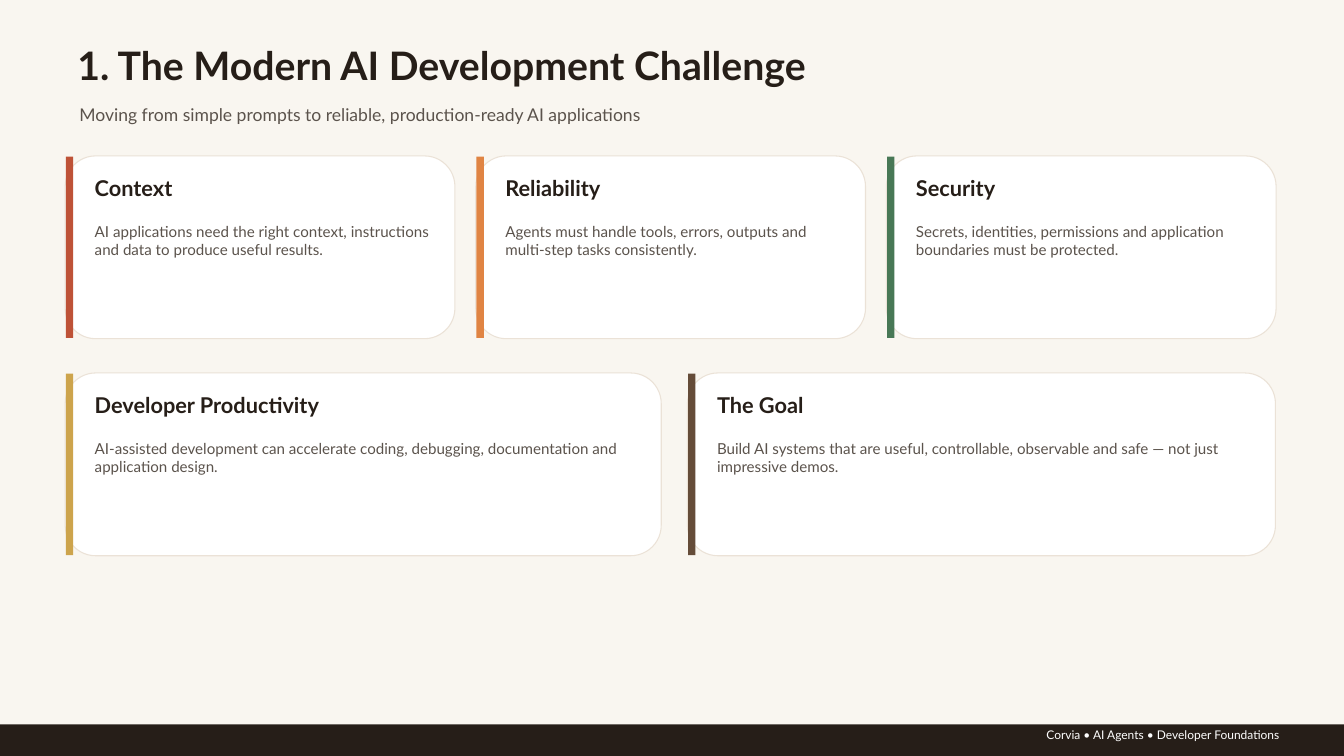
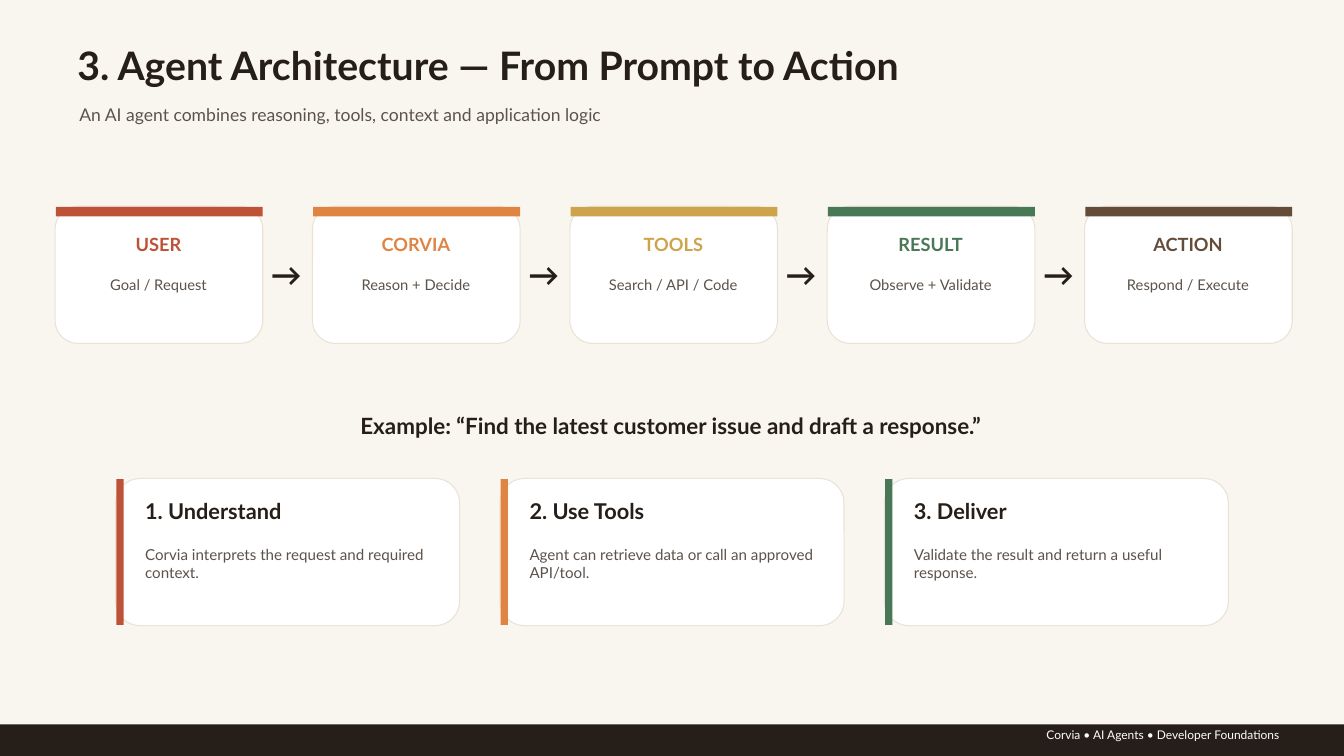
from pptx import Presentation
from pptx.dml.color import RGBColor
from pptx.enum.shapes import MSO_SHAPE
from pptx.enum.text import MSO_ANCHOR, MSO_AUTO_SIZE, PP_ALIGN
from pptx.util import Inches, Pt

FONT = "Lato"
CREAM, WHITE, EDGE = "F9F6F0", "FFFFFF", "EBE2D7"
INK, GREY = "261E18", "5B534C"
RED, ORANGE, GOLD, GREEN, BROWN = "BE5237", "E08443", "CDA44C", "487856", "654C39"
LEFT, CENTER, RIGHT = PP_ALIGN.LEFT, PP_ALIGN.CENTER, PP_ALIGN.RIGHT
WIDTH, HEIGHT = 20, 11.25
FOOTER = "Corvia • AI Agents • Developer Foundations"


def paint(fill, color):
    fill.solid()
    fill.fore_color.rgb = RGBColor.from_string(color)


def write(shape, text, size, color, bold=False, align=LEFT):
    """Fill a shape with one paragraph, without margins, set at 1.2 leading."""
    frame = shape.text_frame
    frame.text = text
    frame.word_wrap = True
    frame.auto_size = MSO_AUTO_SIZE.NONE
    frame.vertical_anchor = MSO_ANCHOR.TOP
    frame.margin_left = frame.margin_right = 0
    frame.margin_top = frame.margin_bottom = 0
    para = frame.paragraphs[0]
    para.alignment = align
    para.line_spacing = Pt(round(size * 1.2, 1))
    font = para.runs[0].font
    font.name, font.size, font.bold = FONT, Pt(size), bold
    font.color.rgb = RGBColor.from_string(color)


def add_text(slide, x, y, w, h, *style, **more):
    box = slide.shapes.add_textbox(Inches(x), Inches(y), Inches(w), Inches(h))
    write(box, *style, **more)


def add_box(slide, kind, x, y, w, h, color, edge=None):
    box = slide.shapes.add_shape(kind, Inches(x), Inches(y), Inches(w), Inches(h))
    box.shadow.inherit = False
    paint(box.fill, color)
    if edge:
        paint(box.line.fill, edge)
        box.line.width = Pt(1.13)
    else:
        box.line.fill.background()


def add_panel(slide, x, y, w, h):
    add_box(slide, MSO_SHAPE.ROUNDED_RECTANGLE, x, y, w, h, WHITE, EDGE)


def add_bar(slide, x, y, w, h, color):
    add_box(slide, MSO_SHAPE.RECTANGLE, x, y, w, h, color)


def add_card(slide, x, y, w, h, color, head, body):
    """Panel with a coloured bar at its left, a heading and a body."""
    add_panel(slide, x, y, w, h)
    add_bar(slide, x + 0.01, y + 0.01, 0.11, h - 0.02, color)
    add_text(slide, x + 0.44, y + 0.28, w - 0.75, 0.53, head, 23.3, INK, bold=True)
    add_text(slide, x + 0.44, y + 0.99, w - 0.79, h - 1.2, body, 16.2, GREY)


def add_row(slide, x, y, w, h, pitch, cards):
    for i, card in enumerate(cards):
        add_card(slide, x + i * pitch, y, w, h, *card)


def add_step(slide, x, y, color, head, body):
    """Panel with a coloured bar on top and two centred lines."""
    add_panel(slide, x, y, 3.09, 2.04)
    add_bar(slide, x + 0.01, y + 0.01, 3.08, 0.14, color)
    add_text(slide, x + 0.29, y + 0.4, 2.5, 0.35, head, 19.5, color,
             bold=True, align=CENTER)
    add_text(slide, x + 0.29, y + 1.03, 2.5, 0.58, body, 15.8, GREY, align=CENTER)


def add_flow(slide, x, y, pitch, steps):
    for i, step in enumerate(steps):
        left = x + i * pitch
        add_step(slide, left, y, *step)
        if i < len(steps) - 1:
            add_text(slide, left + 3.18, y + 0.74, 0.52, 0.49, "→", 33, INK,
                     bold=True, align=CENTER)


def add_slide(deck, title, lead):
    """Slide with the shared title, lead line and footer band."""
    slide = deck.slides.add_slide(deck.slide_layouts[5])
    head = slide.shapes.title
    head.left, head.top = Inches(1.15), Inches(0.62)
    head.width, head.height = Inches(17.81), Inches(0.83)
    write(head, title, 42, INK, bold=True)
    add_text(slide, 1.18, 1.55, 17.36, 0.5, lead, 18.8, GREY)
    add_bar(slide, 0, 10.78, WIDTH, HEIGHT - 10.78, INK)
    add_text(slide, 0.93, 10.83, 18.11, 0.24, FOOTER, 12.8, WHITE, align=RIGHT)
    return slide


def build_challenge(deck):
    slide = add_slide(
        deck, "1. The Modern AI Development Challenge",
        "Moving from simple prompts to reliable, production-ready AI applications")
    add_row(slide, 0.97, 2.32, 5.8, 2.72, 6.11, [
        (RED, "Context", "AI applications need the right context, instructions "
         "and data to produce useful results."),
        (ORANGE, "Reliability", "Agents must handle tools, errors, outputs and "
         "multi-step tasks consistently."),
        (GREEN, "Security", "Secrets, identities, permissions and application "
         "boundaries must be protected."),
    ])
    add_card(slide, 0.97, 5.55, 8.87, 2.72, GOLD, "Developer Productivity",
             "AI-assisted development can accelerate coding, debugging, "
             "documentation and application design.")
    add_card(slide, 10.23, 5.55, 8.75, 2.72, BROWN, "The Goal",
             "Build AI systems that are useful, controllable, observable and "
             "safe — not just impressive demos.")


def build_agent(deck):
    slide = add_slide(
        deck, "3. Agent Architecture — From Prompt to Action",
        "An AI agent combines reasoning, tools, context and application logic")
    add_flow(slide, 0.82, 3.07, 3.83, [
        (RED, "USER", "Goal / Request"),
        (ORANGE, "CORVIA", "Reason + Decide"),
        (GOLD, "TOOLS", "Search / API / Code"),
        (GREEN, "RESULT", "Observe + Validate"),
        (BROWN, "ACTION", "Respond / Execute"),
    ])
    add_text(slide, 1.45, 6.13, 17.06, 0.65,
             "Example: “Find the latest customer issue and draft a response.”",
             24, INK, bold=True, align=CENTER)
    add_row(slide, 1.72, 7.12, 5.12, 2.19, 5.72, [
        (RED, "1. Understand",
         "Corvia interprets the request and required context."),
        (ORANGE, "2. Use Tools",
         "Agent can retrieve data or call an approved API/tool."),
        (GREEN, "3. Deliver",
         "Validate the result and return a useful response."),
    ])


def main():
    deck = Presentation()
    deck.slide_width, deck.slide_height = Inches(WIDTH), Inches(HEIGHT)
    paint(deck.slide_master.background.fill, CREAM)
    build_challenge(deck)
    build_agent(deck)
    deck.save("out.pptx")


if __name__ == "__main__":
    main()
